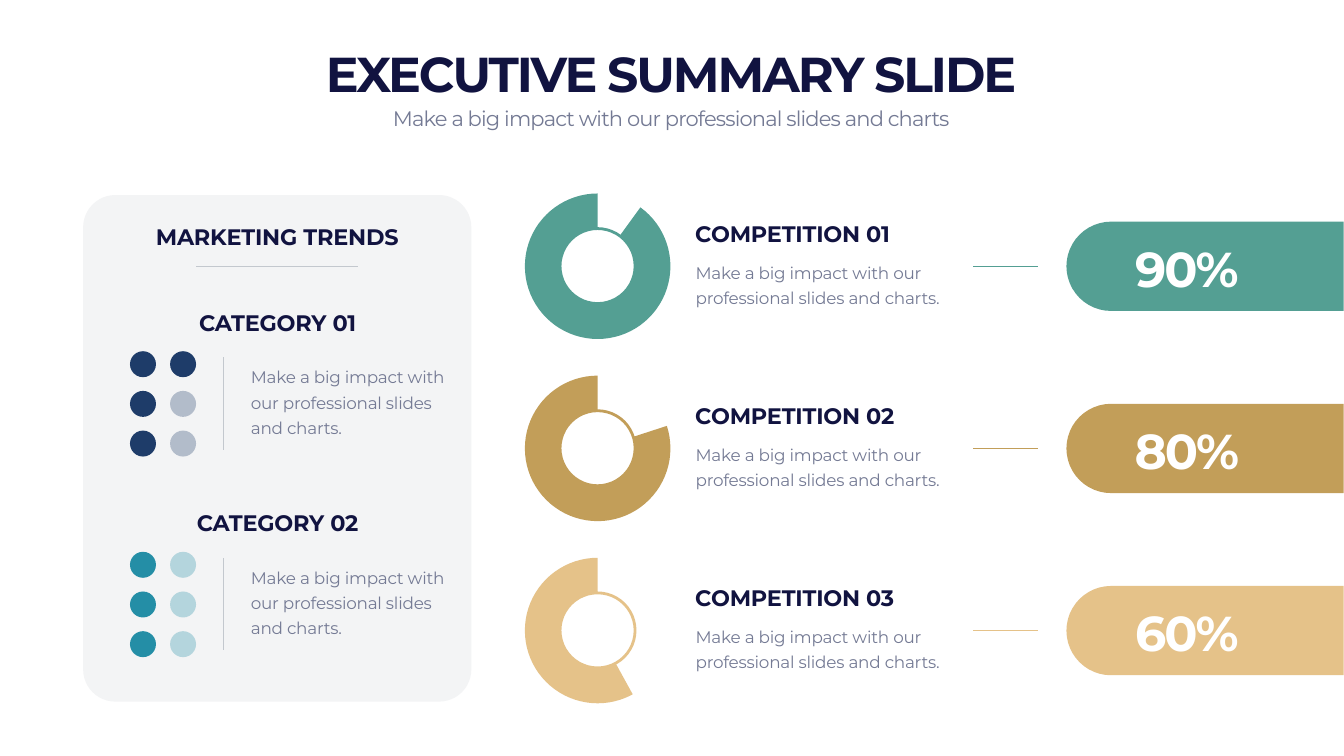
from lxml import etree
from pptx import Presentation
from pptx.chart.data import CategoryChartData
from pptx.dml.color import RGBColor
from pptx.enum.chart import XL_CHART_TYPE
from pptx.enum.shapes import MSO_CONNECTOR, MSO_SHAPE
from pptx.enum.text import MSO_ANCHOR, PP_ALIGN
from pptx.oxml import parse_xml
from pptx.oxml.ns import nsdecls, qn
from pptx.util import Cm, Pt

NAVY, GRAY, RULE, WHITE = "111340", "747A94", "C3C8CE", "FFFFFF"
BLURB = "Make a big impact with our professional slides and charts."
# heading, share shown on the pill, open part of the ring, colour
COMPETITIONS = [
    ("COMPETITION 01", "90%", 10, "549F93"),
    ("COMPETITION 02", "80%", 20, "C29E59"),
    ("COMPETITION 03", "60%", 42, "E5C289"),
]
# heading, number of full dots, colour
CATEGORIES = [("CATEGORY 01", 4, "1E3C69"), ("CATEGORY 02", 3, "248EA6")]

HEADLINE = dict(size=70, bold=True, spacing=-2.9, line=94, align=PP_ALIGN.CENTER)
HEADING = dict(size=32, bold=True, anchor=MSO_ANCHOR.BOTTOM)
BODY = dict(size=24, color=GRAY, line=36)


def rgb(value):
    return RGBColor.from_string(value)


def write(shape, text, size, color=NAVY, bold=False, spacing=-0.3, line=None,
          align=PP_ALIGN.LEFT, anchor=MSO_ANCHOR.TOP):
    """Put one formatted paragraph in a shape; sizes and spacing in points."""
    frame = shape.text_frame
    frame.word_wrap = True
    frame.vertical_anchor = anchor
    paragraph = frame.paragraphs[0]
    paragraph.text = text
    paragraph.alignment = align
    if line:
        paragraph.line_spacing = Pt(line)
    font = paragraph.font
    font.name, font.size, font.bold = "Montserrat", Pt(size), bold
    font.color.rgb = rgb(color)
    font._element.set("spc", str(round(spacing * 100)))


def add_text(slide, left, top, width, height, text, **style):
    box = slide.shapes.add_textbox(Cm(left), Cm(top), Cm(width), Cm(height))
    write(box, text, **style)


def add_filled(slide, kind, left, top, width, height, color, opacity=100):
    shape = slide.shapes.add_shape(kind, Cm(left), Cm(top), Cm(width), Cm(height))
    shape.shadow.inherit = False
    shape.fill.solid()
    shape.fill.fore_color.rgb = rgb(color)
    if opacity < 100:
        fill_color = shape._element.spPr.find(f"{qn('a:solidFill')}/{qn('a:srgbClr')}")
        etree.SubElement(fill_color, qn("a:alpha")).set("val", str(opacity * 1000))
    shape.line.fill.background()
    return shape


def add_rule(slide, x1, y1, x2, y2, color=RULE):
    rule = slide.shapes.add_connector(
        MSO_CONNECTOR.STRAIGHT, Cm(x1), Cm(y1), Cm(x2), Cm(y2))
    rule.line.color.rgb = rgb(color)
    rule.line.width = Pt(2)
    etree.SubElement(rule._element.spPr, qn("a:effectLst"))


def add_ring(slide, left, top, open_part, color):
    """Doughnut with an invisible open part and an outlined white centre."""
    data = CategoryChartData()
    data.categories = ["1", "2"]
    data.add_series("Series 1", (open_part, 100 - open_part))
    chart = slide.shapes.add_chart(
        XL_CHART_TYPE.DOUGHNUT, Cm(left), Cm(top), Cm(8.15), Cm(8), data).chart
    chart.has_legend = False
    chart.has_title = False
    chart.font.name, chart.font.size = "Calibri", Pt(10)
    chart.font.color.rgb = rgb(GRAY)
    plot = chart.plots[0]
    plot.vary_by_categories = False
    plot.has_data_labels = False
    points = plot.series[0].points
    points[0].format.fill.background()
    points[1].format.fill.solid()
    points[1].format.fill.fore_color.rgb = rgb(color)
    for index in range(2):
        points[index].format.line.fill.background()

    plot_area = chart._chartSpace.chart.plotArea
    for layout in plot_area.findall(qn("c:layout")):
        plot_area.remove(layout)
    plot_area.insert(0, parse_xml(
        f'<c:layout {nsdecls("c")}><c:manualLayout><c:layoutTarget val="inner"/>'
        '<c:xMode val="edge"/><c:yMode val="edge"/><c:x val="0.05"/><c:y val="0.04"/>'
        '<c:w val="0.9"/><c:h val="0.92"/></c:manualLayout></c:layout>'))

    centre = add_filled(slide, MSO_SHAPE.OVAL, left + 2.18, top + 2.1, 3.78, 3.78, WHITE)
    centre.line.color.rgb = rgb(color)
    centre.line.width = Pt(4)


def add_header(slide, left, top, width):
    title = slide.shapes.title
    title.left, title.top, title.width, title.height = (
        Cm(left), Cm(top), Cm(width), Cm(3.5))
    write(title, "EXECUTIVE SUMMARY SLIDE", anchor=MSO_ANCHOR.BOTTOM, **HEADLINE)
    add_text(slide, left, top + 3.4, width, 1.55, BLURB.rstrip("."),
             size=30, color=GRAY, spacing=-1.2, align=PP_ALIGN.CENTER)


def add_category(slide, left, top, heading, full_dots, color):
    add_text(slide, left + 4.67, top, 10.26, 1.63, heading,
             align=PP_ALIGN.CENTER, **HEADING)
    for index in range(6):
        column, row = divmod(index, 3)
        add_filled(slide, MSO_SHAPE.OVAL, left + 2.36 + column * 2.02,
                   top + 2.28 + row * 2, 1.31, 1.31, color,
                   100 if index < full_dots else 30)
    add_rule(slide, left + 7.07, top + 2.59, left + 7.07, top + 7.24)
    add_text(slide, left + 8.2, top + 2.74, 10.26, 3.99, BLURB,
             anchor=MSO_ANCHOR.MIDDLE, **BODY)


def add_trends_panel(slide, left, top, width, height):
    panel = add_filled(slide, MSO_SHAPE.ROUNDED_RECTANGLE,
                       left, top, width, height, RULE, 20)
    panel.adjustments[0] = 0.083
    add_text(slide, left + 2.77, top + 1.27, 14.02, 1.63, "MARKETING TRENDS",
             align=PP_ALIGN.CENTER, **HEADING)
    add_rule(slide, left + 5.69, top + 3.59, left + 13.87, top + 3.59)
    for index, category in enumerate(CATEGORIES):
        add_category(slide, left, top + 5.59 + index * 10.11, *category)


def add_competition(slide, left, top, heading, share, open_part, color):
    middle = top + 4
    add_ring(slide, left, top, open_part, color)
    add_text(slide, left + 8.74, top + 1.53, 13.23, 1.63, heading, **HEADING)
    add_text(slide, left + 8.76, top + 3.43, 13.23, 2.72, BLURB, **BODY)
    add_rule(slide, left + 23.01, middle, left + 26.26, middle, color)
    pill_width, pill_length = 4.5, 13.97
    pill = add_filled(slide, MSO_SHAPE.ROUND_2_SAME_RECTANGLE,
                      left + 34.68 - pill_width / 2, middle - pill_length / 2,
                      pill_width, pill_length, color)
    pill.adjustments[0], pill.adjustments[1] = 0.5, 0
    pill.rotation = 270
    add_text(slide, left + 30.5, top + 2.21, 6.53, 3.38, share,
             color=WHITE, anchor=MSO_ANCHOR.MIDDLE, **HEADLINE)


def main():
    presentation = Presentation()
    presentation.slide_width, presentation.slide_height = Cm(67.72), Cm(38.1)
    slide = presentation.slides.add_slide(presentation.slide_layouts[5])
    add_header(slide, 4.19, 1.8, 59.26)
    add_trends_panel(slide, 4.19, 9.83, 19.56, 25.53)
    for index, competition in enumerate(COMPETITIONS):
        add_competition(slide, 26.04, 9.42 + index * 9.18, *competition)
    presentation.save("out.pptx")


if __name__ == "__main__":
    main()
